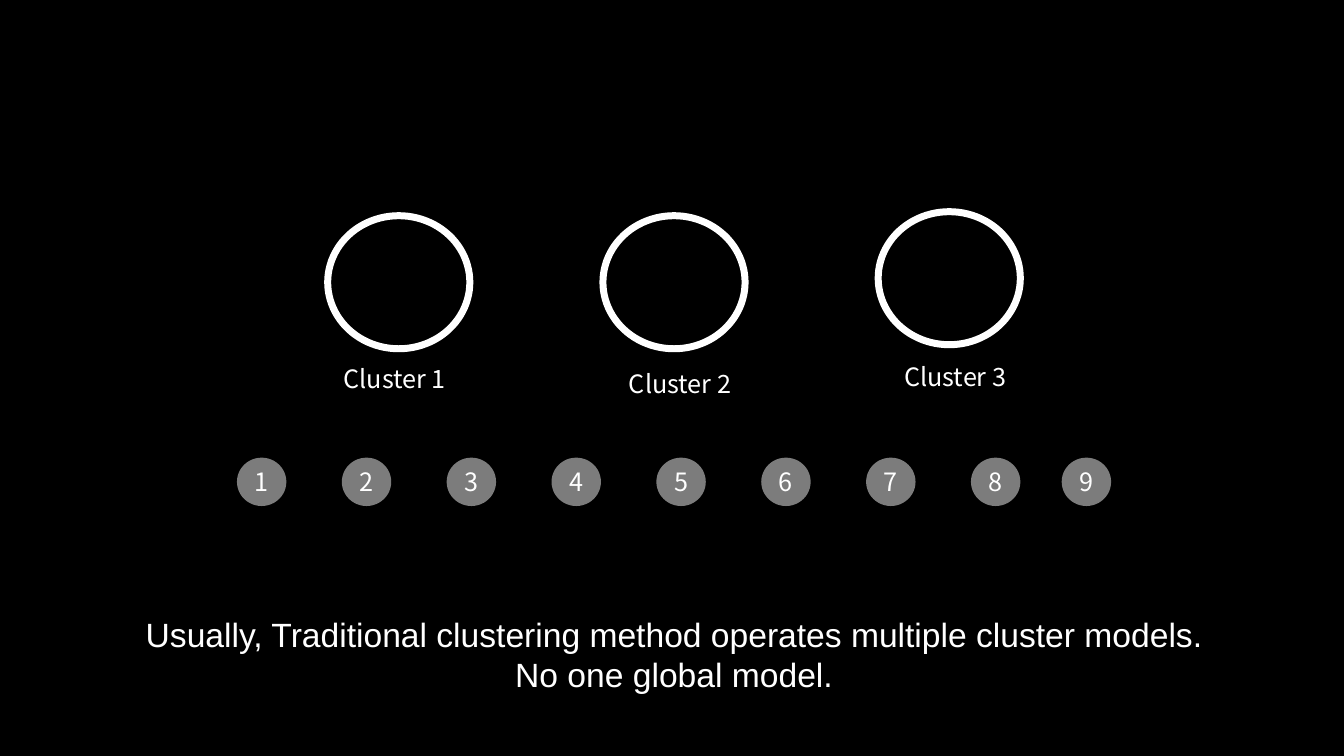
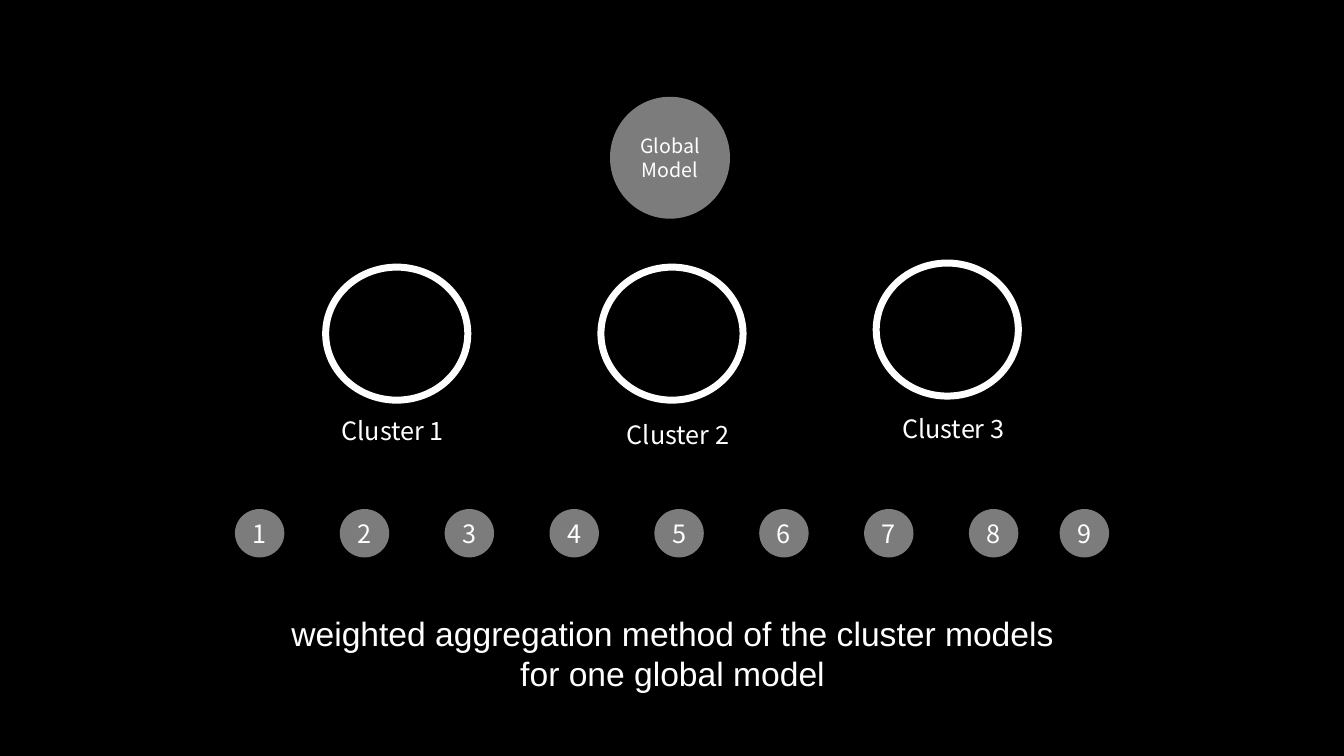
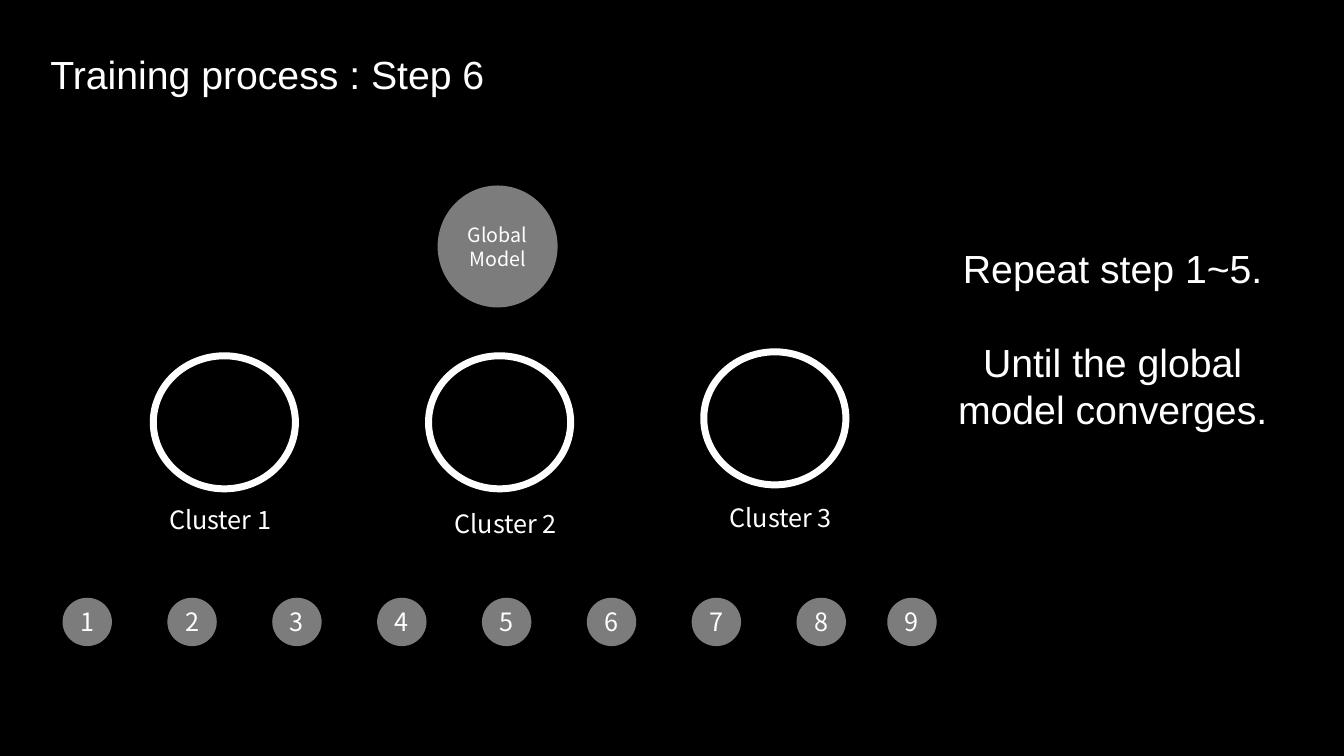
from pptx import Presentation
from pptx.dml.color import RGBColor
from pptx.enum.shapes import MSO_SHAPE
from pptx.enum.text import MSO_ANCHOR, MSO_AUTO_SIZE, PP_ALIGN
from pptx.util import Inches, Pt

COLORS = {"background": "000000", "text": "FFFFFF", "node": "7C7C7C"}
CAPTION_FONT = "Arial"
DIAGRAM_FONT = "Noto Sans CJK KR"
LINE_HEIGHT = 1.2
TITLE_ONLY, BLANK = 5, 6

NODE_COUNT = 9
NODE_PITCH = 1.04
LAST_NODE_OFFSET = 8.18
RING_OFFSETS = [(0.9, -2.4), (3.63, -2.4), (6.36, -2.44)]
LABEL_BOXES = [(0.95, -0.98, 1.23), (3.67, -0.94, 1.45), (6.44, -1, 1.37)]
GLOBAL_OFFSET = (3.72, -4.09)


class ClusterDeck:
    """Holds the deck style and the current slide, and draws its elements."""

    def __init__(self):
        self.prs = Presentation()
        self.prs.slide_width = Inches(13.33)
        self.prs.slide_height = Inches(7.5)
        self.slide = None
        self.paint(self.prs.slide_master.background.fill, "background")

    def paint(self, fill, color):
        fill.solid()
        fill.fore_color.rgb = RGBColor.from_string(COLORS[color])

    def new_slide(self, layout=BLANK):
        self.slide = self.prs.slides.add_slide(self.prs.slide_layouts[layout])

    def set_lines(self, frame, lines, size, font, align=PP_ALIGN.CENTER, gap=0):
        frame.word_wrap = True
        for index, line in enumerate(lines):
            paragraph = frame.add_paragraph() if index else frame.paragraphs[0]
            paragraph.text = line
            paragraph.alignment = align
            paragraph.line_spacing = Pt(size * LINE_HEIGHT)
            paragraph.space_before = Pt(gap if index else 0)
            paragraph.font.size = Pt(size)
            paragraph.font.name = font
            paragraph.font.color.rgb = RGBColor.from_string(COLORS["text"])

    def title(self, text):
        heading = self.slide.shapes.title
        heading.left, heading.top = Inches(0.4), Inches(0.45)
        heading.width, heading.height = Inches(5.2), Inches(0.57)
        frame = heading.text_frame
        frame.auto_size = MSO_AUTO_SIZE.NONE
        frame.vertical_anchor = MSO_ANCHOR.TOP
        self.set_lines(frame, [text], 28, CAPTION_FONT, PP_ALIGN.LEFT)

    def text(self, shapes, box, lines, size, font, gap=0):
        frame = shapes.add_textbox(*map(Inches, box)).text_frame
        self.set_lines(frame, lines, size, font, gap=gap)
        frame.auto_size = MSO_AUTO_SIZE.SHAPE_TO_FIT_TEXT

    def caption(self, box, lines, size=24, gap=0):
        self.text(self.slide.shapes, box, lines, size, CAPTION_FONT, gap)

    def ellipse(self, shapes, box):
        oval = shapes.add_shape(MSO_SHAPE.OVAL, *map(Inches, box))
        oval.shadow.inherit = False
        return oval

    def ring(self, shapes, left, top):
        ring = self.ellipse(shapes, (left, top, 1.41, 1.32))
        ring.fill.background()
        ring.line.width = Pt(5)
        ring.line.color.rgb = RGBColor.from_string(COLORS["text"])

    def node(self, shapes, box, lines, size=18):
        node = self.ellipse(shapes, box)
        self.paint(node.fill, "node")
        node.line.fill.background()
        frame = node.text_frame
        frame.margin_left = frame.margin_right = 0
        frame.margin_top = frame.margin_bottom = 0
        frame.vertical_anchor = MSO_ANCHOR.MIDDLE
        self.set_lines(frame, lines, size, DIAGRAM_FONT)

    def clusters(self, left, top, global_model=True):
        shapes = self.slide.shapes.add_group_shape().shapes
        for dx, dy in RING_OFFSETS:
            self.ring(shapes, left + dx, top + dy)
        if global_model:
            dx, dy = GLOBAL_OFFSET
            self.node(shapes, (left + dx, top + dy, 1.19, 1.21), ["Global", "Model"], 14)
        for index in range(NODE_COUNT):
            dx = min(index * NODE_PITCH, LAST_NODE_OFFSET)
            self.node(shapes, (left + dx, top, 0.49, 0.48), [str(index + 1)])
        for number, (dx, dy, width) in enumerate(LABEL_BOXES, 1):
            box = (left + dx, top + dy, width, 0.4)
            self.text(shapes, box, [f"Cluster {number}"], 18, DIAGRAM_FONT)


def main():
    deck = ClusterDeck()

    deck.new_slide()
    deck.caption((1.26, 6.04, 10.85, 0.91), [
        "Usually, Traditional clustering method operates multiple cluster models.",
        "No one global model.",
    ])
    deck.clusters(2.35, 4.54, global_model=False)

    deck.new_slide()
    deck.caption((1.71, 6.03, 9.92, 0.91), [
        "weighted aggregation method of the cluster models",
        "for one global model",
    ])
    deck.clusters(2.33, 5.05)

    deck.new_slide(TITLE_ONLY)
    deck.title("Training process : Step 6")
    deck.caption((9.13, 2.37, 3.81, 1.99), [
        "Repeat step 1~5.",
        "Until the global model converges.",
    ], size=28, gap=28 * LINE_HEIGHT)
    deck.clusters(0.62, 5.93)

    deck.prs.save("out.pptx")


if __name__ == "__main__":
    main()
